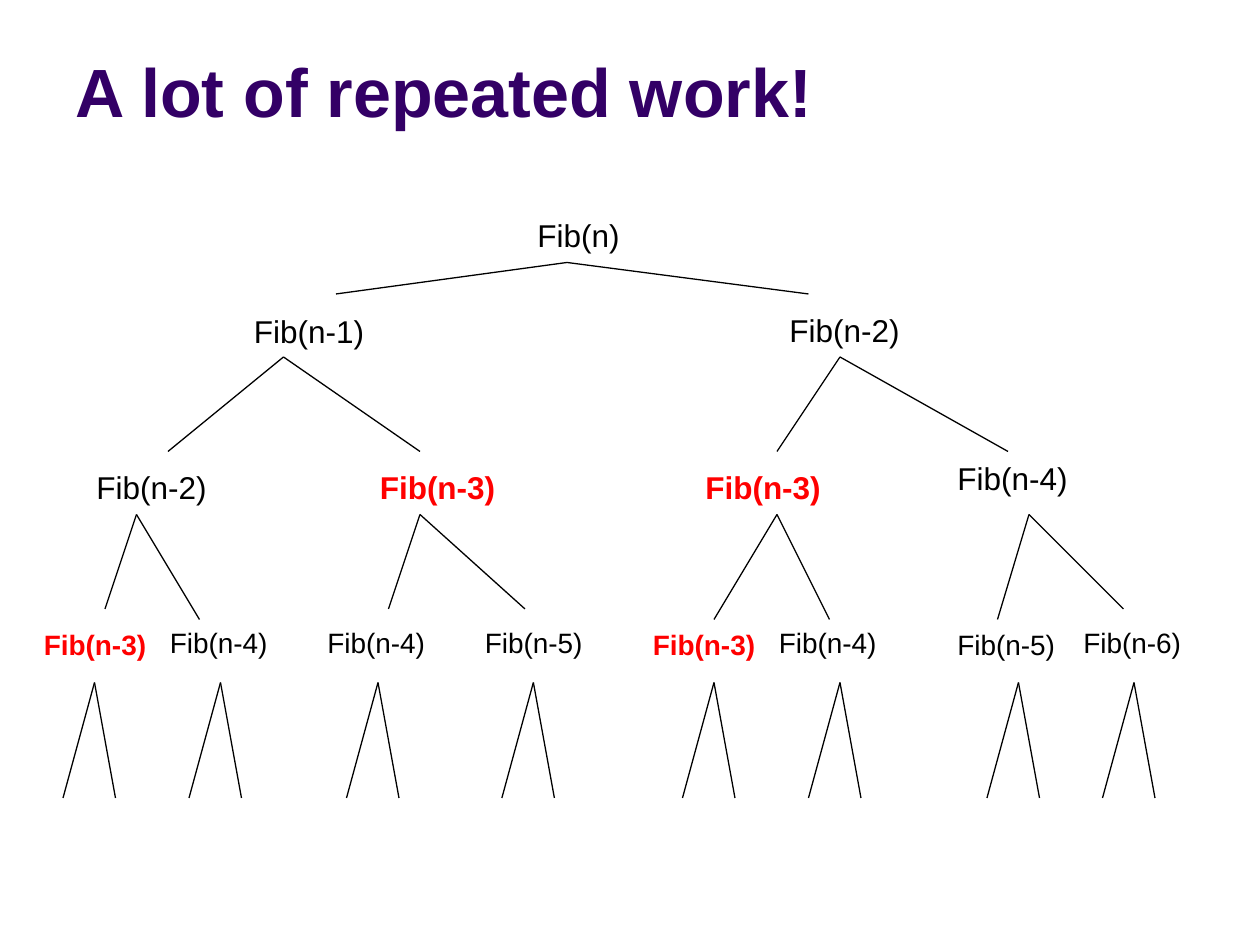
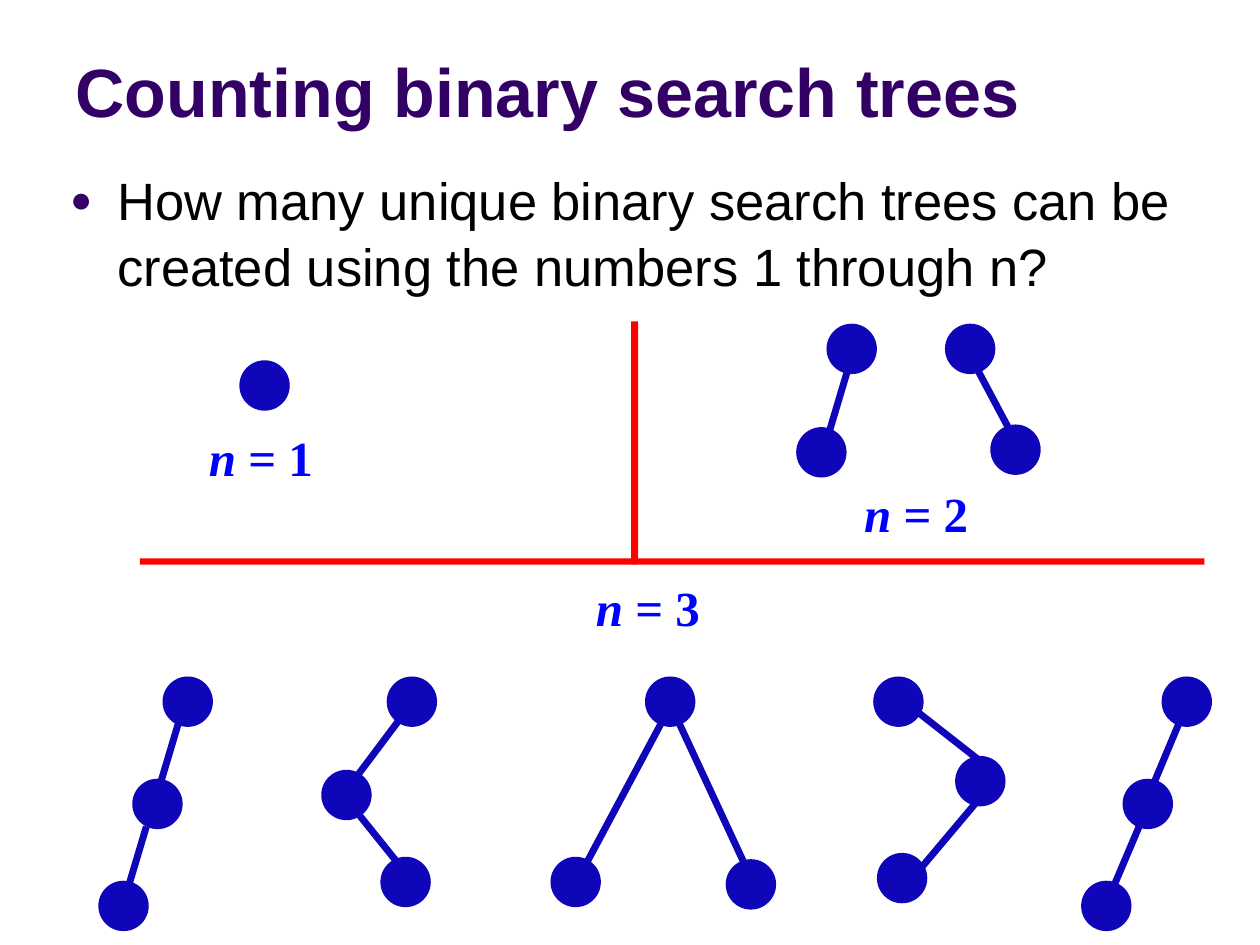
"""Build two slides on repeated Fibonacci work and counting binary search trees."""
from lxml import etree
from pptx import Presentation
from pptx.dml.color import RGBColor
from pptx.enum import shapes, text
from pptx.oxml import ns
from pptx.util import Pt

PURPLE, RED, BLACK = "330066", "FF0000", "000000"
NODE_BLUE, LABEL_BLUE = "0F06BA", "0000FF"
DOT, ROD = 28.8, 4
TITLE_FORMAT = {"name": "Arial", "size": Pt(39), "bold": True, "color": PURPLE}
BODY_FORMAT = {"name": "Arial", "size": Pt(30), "color": BLACK}
COUNT_FORMAT = {"name": "Times New Roman", "size": Pt(28), "bold": True, "color": LABEL_BLUE}

CALLS = [
    ("n", 300, 120, 18),
    ("n-1", 138, 175, 18), ("n-2", 444, 174, 18),
    ("n-2", 48, 264, 18), ("n-3", 210, 264, 18),
    ("n-3", 396, 264, 18), ("n-4", 540, 259, 18),
    ("n-3", 18, 355, 16), ("n-4", 90, 354, 16),
    ("n-4", 180, 354, 16), ("n-5", 270, 354, 16),
    ("n-3", 366, 355, 16), ("n-4", 438, 354, 16),
    ("n-5", 540, 355, 16), ("n-6", 612, 354, 16),
]
FORKS = [
    ((324, 150), (192, 168), (462, 168)),
    ((162, 204), (96, 258), (240, 258)),
    ((480, 204), (444, 258), (576, 258)),
    ((78, 294), (60, 348), (114, 354)),
    ((240, 294), (222, 348), (300, 348)),
    ((444, 294), (408, 354), (474, 354)),
    ((588, 294), (570, 354), (642, 348)),
]
LEAF_PEAKS = [54, 126, 216, 304.8, 408, 480, 582, 648]

TREES = [
    ([(136.8, 205.9)], []),
    ([(472.3, 185), (455, 244.1)], [(479.2, 229, 39, 16.6)]),
    ([(540, 185), (565.9, 242.6)], [(568.4, 229.7, 39, -28)]),
    ([(92.9, 386.6), (75.6, 445), (56.2, 503.3)],
     [(96.8, 430.6, 39, 16.6), (78.1, 491, 39, 16.6)]),
    ([(221, 386.6), (183.6, 439.9), (217.4, 489.6)],
     [(216.4, 427, 39, 36.9), (216.4, 479.5, 39, -38.8)]),
    ([(368.6, 386.6), (314.6, 489.6), (414.7, 491)],
     [(357.1, 452.2, 102.2, 28.1), (410, 460.4, 103, -24.9)]),
    ([(499, 386.6), (545.8, 432), (501.1, 487.4)],
     [(540.4, 419.4, 48.2, -51.9), (542.9, 476.3, 55.4, 40.1)]),
    ([(663.8, 386.6), (641.5, 445), (617.8, 503.3)],
     [(643.3, 490.3, 39, 23), (667.1, 429.1, 39, 22.7)]),
]
COUNTS = [(1, 112.3, 240.5), (2, 486.7, 272.9), (3, 333.4, 326.2)]


def rgb(value):
    return RGBColor.from_string(value)


def apply(font, formats):
    for key, value in formats.items():
        if key == "color":
            font.color.rgb = rgb(value)
        else:
            setattr(font, key, value)


class Sketch:
    def __init__(self, deck):
        self.deck = deck
        self.page = None

    def start(self, title):
        self.page = self.deck.slides.add_slide(self.deck.slide_layouts[5])
        box = self.page.shapes.title
        box.left, box.top, box.width, box.height = Pt(36), Pt(9.4), Pt(648), Pt(69)
        frame = box.text_frame
        frame.auto_size = text.MSO_AUTO_SIZE.NONE
        frame.vertical_anchor = text.MSO_ANCHOR.BOTTOM
        para = frame.paragraphs[0]
        para.alignment = text.PP_ALIGN.LEFT
        self.span(para, title, TITLE_FORMAT)

    def span(self, para, words, formats):
        span = para.add_run()
        span.text = words
        apply(span.font, formats)

    def label(self, left, top, width, height, spans):
        box = self.page.shapes.add_textbox(Pt(left), Pt(top), Pt(width), Pt(height))
        box.text_frame.word_wrap = True
        para = box.text_frame.paragraphs[0]
        for words, formats in spans:
            self.span(para, words, formats)
        return para

    def bullet(self, left, top, width, height, words):
        para = self.label(left, top, width, height, [(words, BODY_FORMAT)])
        para.line_spacing = 1.05
        props = para._p.get_or_add_pPr()
        props.set("marL", str(Pt(27)))
        props.set("indent", str(Pt(-27)))
        color = etree.SubElement(props, ns.qn("a:buClr"))
        etree.SubElement(color, ns.qn("a:srgbClr"), val=PURPLE)
        etree.SubElement(props, ns.qn("a:buSzPct"), val="70000")
        etree.SubElement(props, ns.qn("a:buFont"), typeface="Arial")
        etree.SubElement(props, ns.qn("a:buChar"), char="●")

    def line(self, start, end):
        line = self.page.shapes.add_connector(
            shapes.MSO_CONNECTOR.STRAIGHT, *(Pt(value) for value in (*start, *end)))
        line.line.color.rgb = rgb(BLACK)
        line.line.width = Pt(0.75)
        etree.SubElement(line._element.spPr, ns.qn("a:effectLst"))

    def fork(self, peak, *ends):
        for end in ends:
            self.line(peak, end)

    def solid(self, holder, kind, left, top, width, height, color, angle=0):
        shape = holder.add_shape(kind, Pt(left), Pt(top), Pt(width), Pt(height))
        shape.shadow.inherit = False
        shape.fill.solid()
        shape.fill.fore_color.rgb = rgb(color)
        shape.line.fill.background()
        shape.rotation = angle

    def bar(self, left, top, width, height):
        self.solid(self.page.shapes, shapes.MSO_SHAPE.RECTANGLE, left, top, width, height, RED)

    def tree(self, dots, rods):
        holder = self.page.shapes.add_group_shape().shapes if rods else self.page.shapes
        for left, top in dots:
            self.solid(holder, shapes.MSO_SHAPE.OVAL, left, top, DOT, DOT, NODE_BLUE)
        for x, y, length, angle in rods:
            self.solid(holder, shapes.MSO_SHAPE.RECTANGLE, x - ROD / 2, y - length / 2,
                       ROD, length, NODE_BLUE, angle)


def draw_repeated_work(sketch):
    sketch.start("A lot of repeated work!")
    for argument, left, top, size in CALLS:
        repeated = argument == "n-3"
        formats = {"name": "Arial", "size": Pt(size), "bold": repeated,
                   "color": RED if repeated else BLACK}
        width = 96 if size == 18 else 80 if repeated else 72
        sketch.label(left, top, width, size + 11, [(f"Fib({argument})", formats)])
    for fork in FORKS:
        sketch.fork(*fork)
    for x in LEAF_PEAKS:
        sketch.fork((x, 390), (x - 18, 456), (x + 12, 456))


def draw_tree_counts(sketch):
    sketch.start("Counting binary search trees")
    sketch.bullet(33, 90.7, 648, 98.6,
                  "How many unique binary search trees can be created "
                  "using the numbers 1 through n?")
    for dots, rods in TREES:
        sketch.tree(dots, rods)
    for count, left, top in COUNTS:
        sketch.label(left, top, 78, 41, [("n ", {**COUNT_FORMAT, "italic": True}),
                                         (f"= {count}", COUNT_FORMAT)])
    sketch.bar(360.7, 183.6, 4, 139)
    sketch.bar(79.9, 319, 608.4, 3.6)


def main():
    deck = Presentation()
    deck.slide_width, deck.slide_height = Pt(720), Pt(540)
    sketch = Sketch(deck)
    draw_repeated_work(sketch)
    draw_tree_counts(sketch)
    deck.save("out.pptx")


if __name__ == "__main__":
    main()
